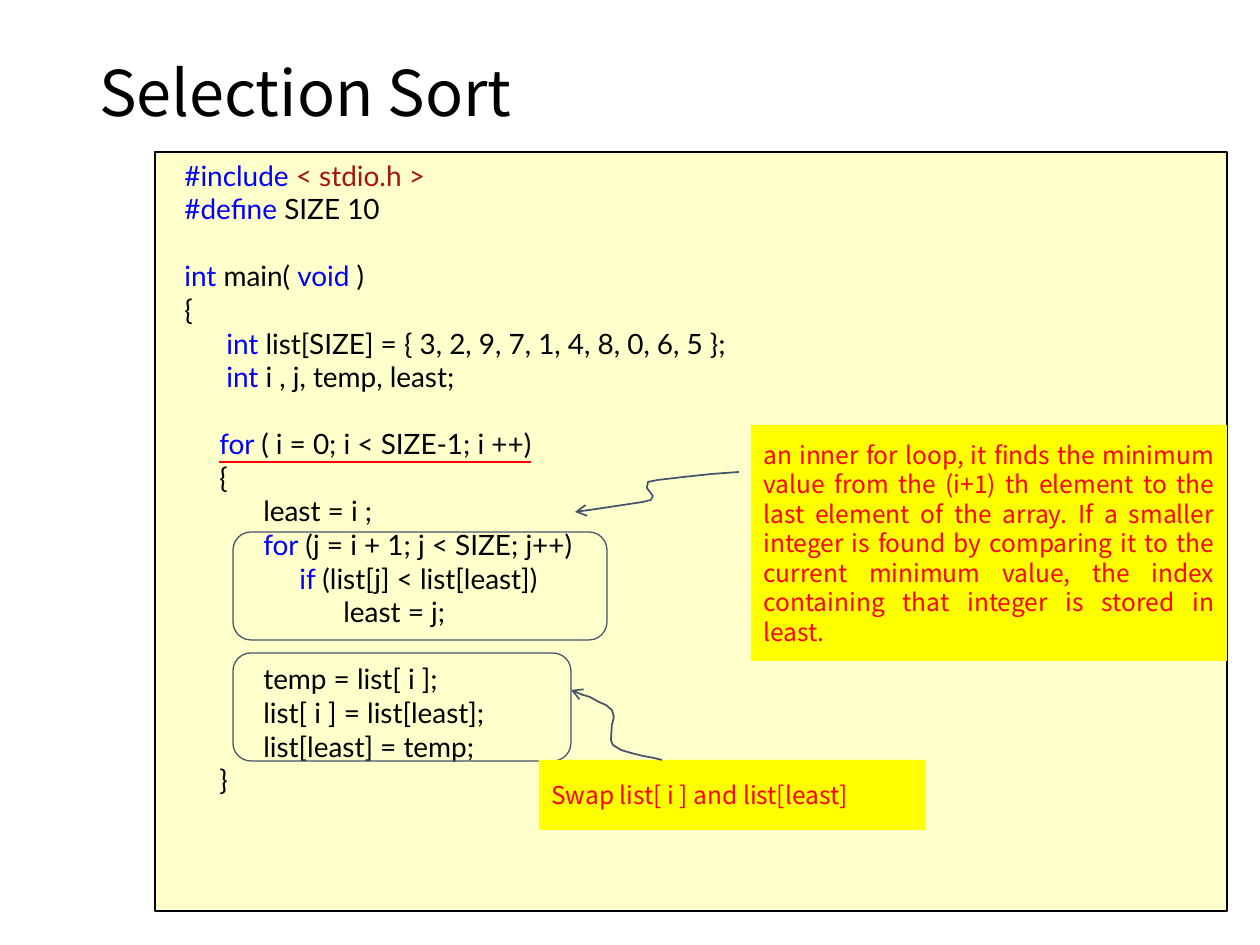
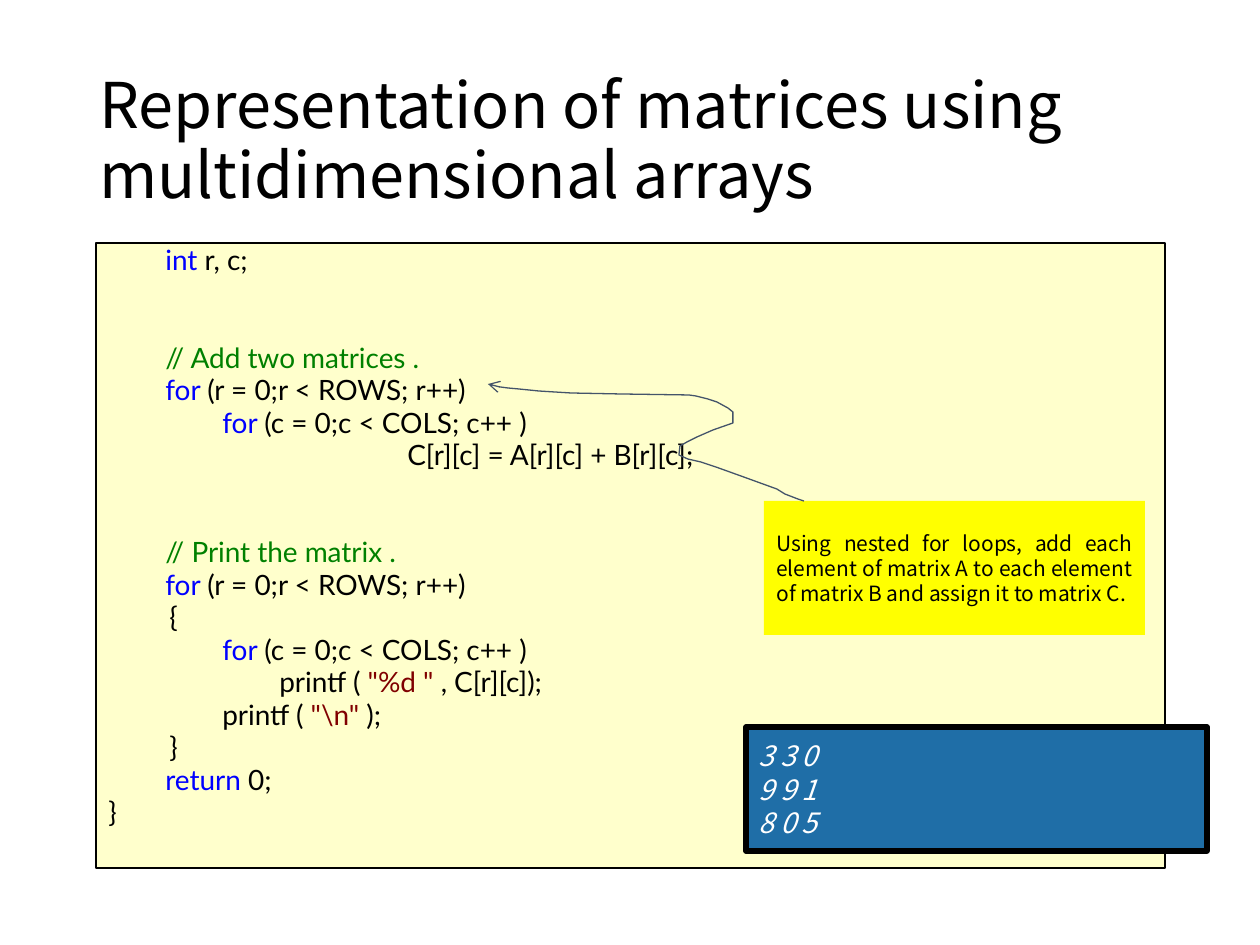
from lxml.etree import SubElement
from pptx import Presentation
from pptx.dml.color import RGBColor
from pptx.enum.shapes import MSO_SHAPE as Preset
from pptx.enum.text import MSO_ANCHOR as Anchor, PP_ALIGN as Align
from pptx.oxml import parse_xml
from pptx.oxml.ns import nsdecls, qn
from pptx.util import Emu, Pt

PX = 914400 // 126
SANS, CODE_FONT = "Noto Sans CJK KR", "Lato"
BLACK, WHITE, RED, SLATE = "000000", "FFFFFF", "FF0000", "44546A"
CREAM, YELLOW, OCEAN = "FFFFCC", "FFFF00", "1F6EA7"
KEYWORD, HEADER, COMMENT, STRING = "0000FF", "A31515", "008000", "800000"
CODE_SIZE = 16
LINE_FACTOR = 1.2

ROW_LOOP = [("for ", KEYWORD), ("(r = 0;r < ROWS; r++)", BLACK)]
COLUMN_LOOP = [("for ", KEYWORD), ("(c = 0;c < COLS; c++ )", BLACK)]

SORT_CODE = [
    (17, 0, [("#include ", KEYWORD), ("< stdio.h >", HEADER)]),
    (17, 0, [("#define ", KEYWORD), ("SIZE 10", BLACK)]),
    (17, 1, [("int ", KEYWORD), ("main( ", BLACK), ("void ", KEYWORD), (")", BLACK)]),
    (17, 0, [("{", BLACK)]),
    (59, 0, [("int ", KEYWORD), ("list[SIZE] = { 3, 2, 9, 7, 1, 4, 8, 0, 6, 5 };", BLACK)]),
    (59, 0, [("int ", KEYWORD), ("i , j, temp, least;", BLACK)]),
    (52, 1, [("for ", KEYWORD), ("( i = 0; i < SIZE-1; i ++)", BLACK)]),
    (52, 0, [("{", BLACK)]),
    (96, 0, [("least = i ;", BLACK)]),
    (96, 0, [("for ", KEYWORD), ("(j = i + 1; j < SIZE; j++)", BLACK)]),
    (132, 0, [("if ", KEYWORD), ("(list[j] < list[least])", BLACK)]),
    (176, 0, [("least = j;", BLACK)]),
    (96, 1, [("temp = list[ i ];", BLACK)]),
    (96, 0, [("list[ i ] = list[least];", BLACK)]),
    (96, 0, [("list[least] = temp;", BLACK)]),
    (52, 0, [("}", BLACK)]),
]
OUTER_LOOP = 6

MATRIX_CODE = [
    (57, 0, [("int ", KEYWORD), ("r, c;", BLACK)]),
    (57, 2, [("// Add two matrices .", COMMENT)]),
    (57, 0, ROW_LOOP),
    (114, 0, COLUMN_LOOP),
    (299, 0, [("C[r][c] = A[r][c] + B[r][c];", BLACK)]),
    (57, 2, [("// Print the matrix .", COMMENT)]),
    (57, 0, ROW_LOOP),
    (61, 0, [("{", BLACK)]),
    (114, 0, COLUMN_LOOP),
    (171, 0, [("printf ( ", BLACK), ('"%d " ', STRING), (", C[r][c]);", BLACK)]),
    (114, 0, [("printf ( ", BLACK), ('"\\n" ', STRING), (");", BLACK)]),
    (61, 0, [("}", BLACK)]),
    (57, 0, [("return ", KEYWORD), ("0;", BLACK)]),
    (0, 0, [("}", BLACK)]),
]

INNER_LOOP_NOTE = (
    "an inner for loop, it finds the minimum value from the (i+1) th element to the "
    "last element of the array. If a smaller integer is found by comparing it to the "
    "current minimum value, the index containing that integer is stored in least."
)
MATRIX_NOTE = (
    "Using nested for loops, add each element of matrix A to each element of matrix B "
    "and assign it to matrix C."
)
MATRIX_OUTPUT = ["3 3 0", "9 9 1", "8 0 5"]

INNER_LOOP_ARROW = [
    (739, 472), (712, 474), (684, 477), (658, 480), (648, 482), (647, 488), (653, 496),
    (651, 500), (643, 502), (630, 504), (610, 507), (590, 510), (575, 512),
]
SWAP_ARROW = [
    (662, 760), (654, 758), (643, 756), (631, 753), (621, 750), (613, 745), (611, 740),
    (612, 725), (614, 717), (612, 710), (606, 705), (599, 702), (590, 697), (577, 693),
    (571, 690),
]
MATRIX_ARROW = [
    (804, 501), (798, 499), (785, 494), (777, 489), (741, 476), (716, 467), (701, 462),
    (688, 459), (679, 455), (680, 446), (687, 442), (697, 437), (713, 430), (733, 423),
    (733, 412), (728, 408), (717, 402), (708, 399), (696, 396), (689, 395), (621, 394),
    (571, 393), (539, 391), (519, 389), (508, 388), (493, 386), (488, 384),
]


def px(value):
    return Emu(value * PX)


def color(hex_value):
    return RGBColor.from_string(hex_value)


def style_span(span, font, size, ink, italic=False):
    span.font.name = font
    span.font.size = Pt(size)
    span.font.color.rgb = color(ink)
    if italic:
        span.font.italic = True


def style_shape(shape, fill=None, line=None, width=0.75):
    shape.shadow.inherit = False
    if fill:
        shape.fill.solid()
        shape.fill.fore_color.rgb = color(fill)
    else:
        shape.fill.background()
    if line:
        shape.line.color.rgb = color(line)
        shape.line.width = Pt(width)
    else:
        shape.line.fill.background()


def add_box(page, bounds, fill=None, line=None, width=0.75, preset=Preset.RECTANGLE):
    box = page.shapes.add_shape(preset, *map(px, bounds))
    style_shape(box, fill, line, width)
    box.text_frame.word_wrap = True
    return box


def write_text(box, lines, size, ink, align=Align.LEFT, factor=LINE_FACTOR, italic=False):
    frame = box.text_frame
    frame.word_wrap = True
    frame.vertical_anchor = Anchor.MIDDLE
    frame.text = "\n".join(lines)
    for para in frame.paragraphs:
        para.alignment = align
        para.line_spacing = Pt(size * factor)
        for span in para.runs:
            style_span(span, SANS, size, ink, italic)


def add_title(page, text, top):
    box = page.shapes.add_textbox(px(87), px(top), px(1086), px(183))
    write_text(box, [text], 36, BLACK, factor=1.1)


def add_note(page, bounds, text, size, ink, align=Align.JUSTIFY):
    write_text(add_box(page, bounds, YELLOW), [text], size, ink, align)


def add_code(page, bounds, lines, spacing, lead):
    frame = add_box(page, bounds, CREAM, BLACK).text_frame
    frame.vertical_anchor = Anchor.TOP
    pitch = CODE_SIZE * LINE_FACTOR * spacing + lead
    for index, (indent, gap, spans) in enumerate(lines):
        para = frame.add_paragraph() if index else frame.paragraphs[0]
        para.alignment = Align.LEFT
        para.line_spacing = spacing
        para.space_before = Pt(lead + gap * pitch)
        para._p.get_or_add_pPr().set("marL", str(px(indent)))
        for text, ink in spans:
            span = para.add_run()
            span.text = text
            style_span(span, CODE_FONT, CODE_SIZE, ink)
    return frame


def underline(para, ink):
    for span in para.runs:
        span.font.underline = True
        stroke = parse_xml(
            f'<a:uFill {nsdecls("a")}><a:solidFill><a:srgbClr val="{ink}"/></a:solidFill></a:uFill>'
        )
        span.font._element.find(qn("a:solidFill")).addnext(stroke)


def add_curved_arrow(page, points, width):
    builder = page.shapes.build_freeform(*points[0], scale=PX)
    builder.add_line_segments(points[1:], close=False)
    arrow = builder.convert_to_shape()
    style_shape(arrow, line=SLATE, width=width)
    SubElement(arrow.line._get_or_add_ln(), qn("a:tailEnd"), type="arrow")


def build_sort_page(page):
    add_title(page, "Selection Sort", 3)
    code = add_code(page, (155, 152, 1072, 759), SORT_CODE, 1.0, 0)
    underline(code.paragraphs[OUTER_LOOP], RED)
    add_note(page, (751, 425, 476, 236), INNER_LOOP_NOTE, 14, RED)
    add_curved_arrow(page, INNER_LOOP_ARROW, 1)
    for top, width in ((532, 374), (653, 338)):
        add_box(page, (233, top, width, 108), line=SLATE, preset=Preset.ROUNDED_RECTANGLE)
    add_note(page, (539, 760, 386, 70), "Swap list[ i ] and list[least]", 14, RED, Align.LEFT)
    add_curved_arrow(page, SWAP_ARROW, 1)


def build_matrix_page(page):
    add_title(page, "Representation of matrices using multidimensional arrays", 50)
    add_code(page, (96, 243, 1069, 625), MATRIX_CODE, 0.8, CODE_SIZE * 0.2)
    add_note(page, (764, 501, 381, 134), MATRIX_NOTE, 12, BLACK)
    add_curved_arrow(page, MATRIX_ARROW, 0.75)
    output = add_box(page, (746, 727, 461, 124), OCEAN, BLACK, 3)
    write_text(output, MATRIX_OUTPUT, 16, WHITE, italic=True)


def main():
    deck = Presentation()
    deck.slide_width, deck.slide_height = px(1260), px(945)
    for build_page in (build_sort_page, build_matrix_page):
        build_page(deck.slides.add_slide(deck.slide_layouts[6]))
    deck.save("out.pptx")


if __name__ == "__main__":
    main()
